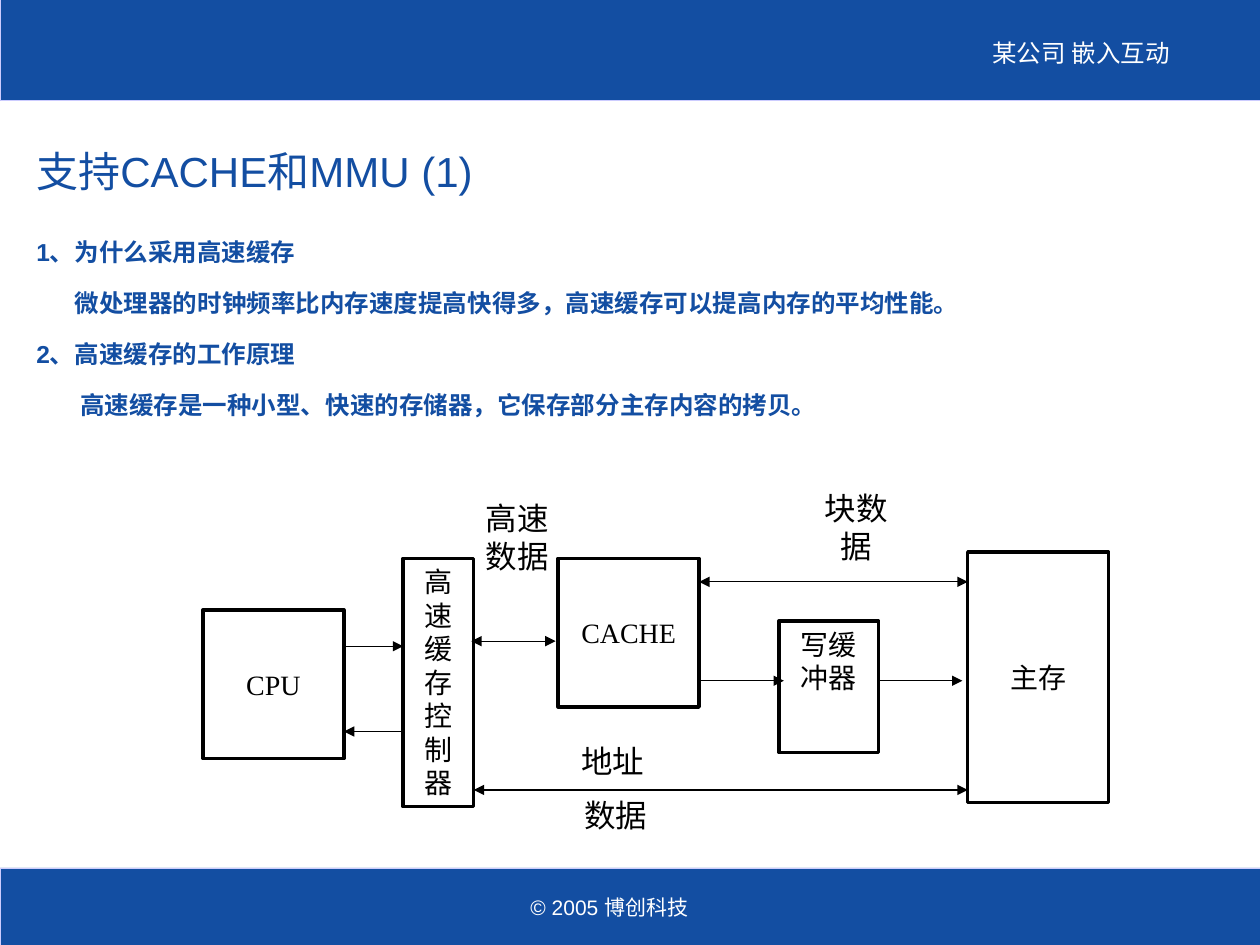
from dataclasses import dataclass

from lxml.etree import SubElement
from pptx import Presentation
from pptx.dml.color import RGBColor
from pptx.enum.shapes import MSO_CONNECTOR, MSO_SHAPE
from pptx.enum.text import MSO_ANCHOR, PP_ALIGN
from pptx.oxml.ns import qn
from pptx.util import Pt


@dataclass(frozen=True)
class Theme:
    """Colours, fonts and type sizes of the slide."""
    blue: RGBColor = RGBColor(0x13, 0x4E, 0xA2)
    edge: RGBColor = RGBColor(0xCC, 0xCC, 0xFF)
    white: RGBColor = RGBColor(0xFF, 0xFF, 0xFF)
    black: RGBColor = RGBColor(0, 0, 0)
    sans: str = "Arial"
    serif: str = "Times New Roman"
    cjk: str = "Noto Sans CJK SC"
    title: int = 24
    body: int = 14
    footer: int = 12
    box: int = 16
    label: int = 18


THEME = Theme()


def write(p, text, *, size, font=THEME.serif, color=THEME.black, bold=False,
          align=PP_ALIGN.LEFT):
    """Put one formatted run into a paragraph."""
    p.alignment = align
    r = p.add_run()
    r.text = text
    r.font.size = Pt(size)
    r.font.name = font
    r.font.color.rgb = color
    r.font.bold = bold


def add_text(s, text, x, y, w, h, *, anchor=MSO_ANCHOR.TOP, wrap=True, **fmt):
    """Add a text box with one paragraph and return it."""
    sp = s.shapes.add_textbox(Pt(x), Pt(y), Pt(w), Pt(h))
    tf = sp.text_frame
    tf.word_wrap = wrap
    tf.vertical_anchor = anchor
    write(tf.paragraphs[0], text, **fmt)
    return sp


def add_body(s, items, x, y, w, h):
    """Add the body text, each item with its own left margin."""
    tf = s.shapes.add_textbox(Pt(x), Pt(y), Pt(w), Pt(h)).text_frame
    tf.word_wrap = True
    for i, (text, margin) in enumerate(items):
        p = tf.add_paragraph() if i else tf.paragraphs[0]
        p._p.get_or_add_pPr().set("marL", str(Pt(margin)))
        p.space_before = Pt(8.8 if i else 0)
        p.space_after = Pt(3.5)
        write(p, text, size=THEME.body, font=THEME.sans, color=THEME.blue, bold=True)


def add_rect(s, x, y, w, h, line, width):
    """Add a plain unfilled rectangle."""
    sp = s.shapes.add_shape(MSO_SHAPE.RECTANGLE, Pt(x), Pt(y), Pt(w), Pt(h))
    sp.shadow.inherit = False
    sp.fill.background()
    sp.line.color.rgb = line
    sp.line.width = Pt(width)
    return sp


def add_band(s, y, h):
    """Add a full-width blue band."""
    sp = add_rect(s, 0, y, 720, h, THEME.edge, 0.25)
    sp.fill.solid()
    sp.fill.fore_color.rgb = THEME.blue


def add_box(s, text, x, y, w, h, anchor=MSO_ANCHOR.MIDDLE):
    """Add a block of the diagram."""
    tf = add_rect(s, x, y, w, h, THEME.black, 2).text_frame
    tf.word_wrap = True
    tf.vertical_anchor = anchor
    write(tf.paragraphs[0], text, size=THEME.box, align=PP_ALIGN.CENTER)


def add_arrow(s, x1, x2, y, both=False):
    """Add a horizontal arrow pointing to x2, or both ways."""
    cx = s.shapes.add_connector(MSO_CONNECTOR.STRAIGHT, Pt(x1), Pt(y), Pt(x2), Pt(y))
    cx.line.color.rgb = THEME.black
    cx.line.width = Pt(0.75)
    ln = cx.line._get_or_add_ln()
    for end in ("a:headEnd", "a:tailEnd") if both else ("a:tailEnd",):
        SubElement(ln, qn(end)).set("type", "triangle")
    SubElement(cx._element.spPr, qn("a:effectLst"))


def add_diagram(s):
    """Draw the cache block diagram."""
    add_box(s, "CPU", 116, 348.5, 80.5, 85)
    add_box(s, "高速缓存控制器", 230.4, 319, 40.3, 142, MSO_ANCHOR.TOP)
    add_box(s, "CACHE", 319, 319, 80.5, 85)
    add_box(s, "主存", 553, 315.4, 80.5, 143.3)
    add_box(s, "写缓冲器", 445, 355, 57, 75, MSO_ANCHOR.TOP)
    for x1, x2, y, both in (
        (196.5, 230.4, 369.3, False),
        (230.4, 196.5, 418, False),
        (269.3, 317.5, 366.4, True),
        (270.7, 553, 451.4, True),
        (399.5, 553, 332.5, True),
        (399.5, 448, 389, False),
        (502, 550, 389, False),
    ):
        add_arrow(s, x1, x2, y, both)
    for text, x, y, h in (
        ("高速数据", 262.8, 281.5, 50.4),
        ("块数据", 456.5, 275.8, 50.4),
        ("地址", 317.5, 420.5, 28.8),
        ("数据", 319, 451.5, 28.8),
    ):
        add_text(s, text, x, y, 65.5, h, size=THEME.label, align=PP_ALIGN.CENTER)


def main():
    """Build the slide and save it."""
    prs = Presentation()
    prs.slide_width, prs.slide_height = Pt(720), Pt(540)
    s = prs.slides.add_slide(prs.slide_layouts[6])
    add_band(s, 496, 44)
    add_band(s, -0.5, 58)
    add_text(s, "某公司 嵌入互动", 560, 18, 129.6, 24.5, wrap=False,
             size=THEME.body, font=THEME.cjk, color=THEME.white)
    add_text(s, "© 2005 博创科技", 273, 507.6, 127.4, 21.6, anchor=MSO_ANCHOR.MIDDLE,
             size=THEME.footer, font=THEME.sans, color=THEME.white, align=PP_ALIGN.RIGHT)
    title = add_text(s, "支持CACHE和MMU (1)", 13.7, 68.4, 689, 62, anchor=MSO_ANCHOR.MIDDLE,
                     size=THEME.title, font=THEME.sans, color=THEME.blue)
    title.text_frame.paragraphs[0].line_spacing = 0.9
    add_body(s, (
        ("1、为什么采用高速缓存", 0),
        ("微处理器的时钟频率比内存速度提高快得多，高速缓存可以提高内存的平均性能。", 22),
        ("2、高速缓存的工作原理", 0),
        ("高速缓存是一种小型、快速的存储器，它保存部分主存内容的拷贝。", 25),
    ), 13.7, 131.8, 689, 351.4)
    add_diagram(s)
    prs.save("out.pptx")


if __name__ == "__main__":
    main()
